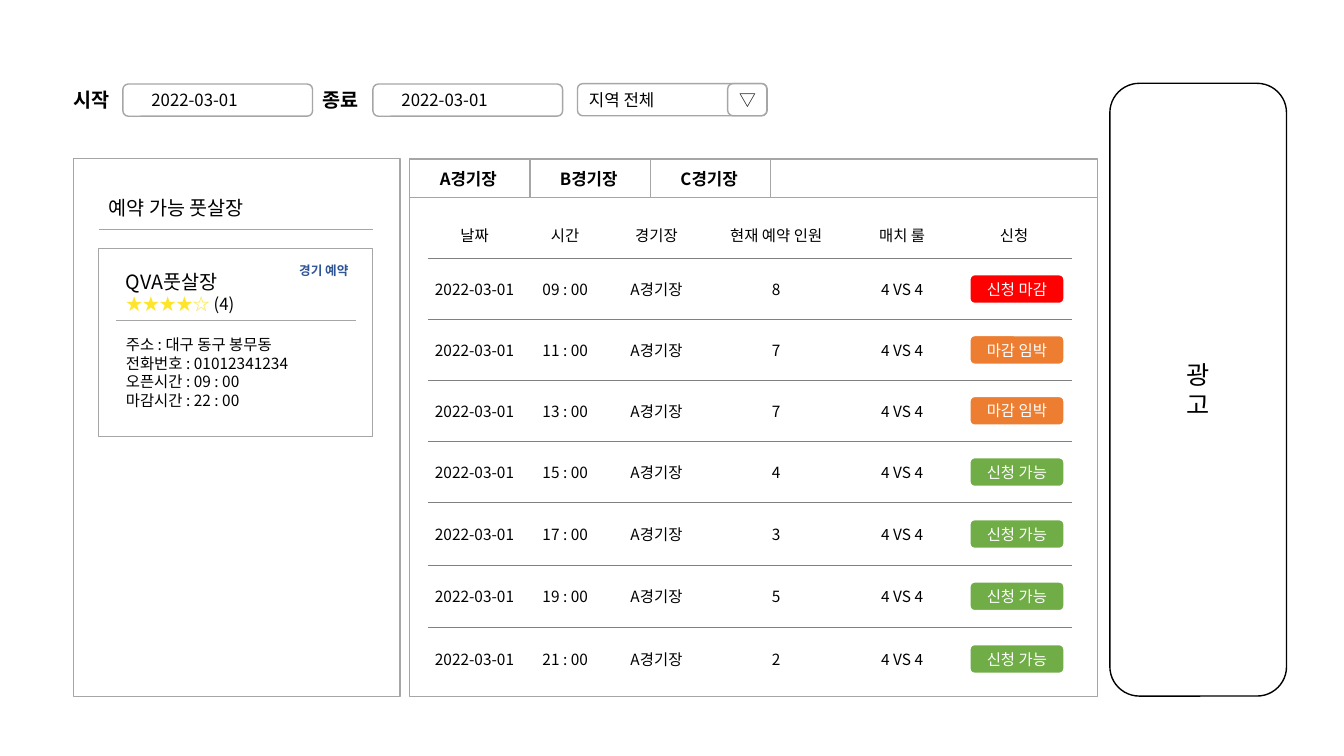
"""Build the futsal court reservation screen as one slide."""
from dataclasses import dataclass
from typing import NamedTuple

from lxml.etree import SubElement
from pptx import Presentation
from pptx.dml.color import RGBColor
from pptx.enum.shapes import MSO_CONNECTOR, MSO_SHAPE
from pptx.enum.text import MSO_ANCHOR, PP_ALIGN
from pptx.oxml.ns import qn
from pptx.shapes.autoshape import Shape
from pptx.shapes.shapetree import SlideShapes
from pptx.table import _Cell
from pptx.text.text import TextFrame
from pptx.util import Pt

FONT = "Noto Sans CJK KR"
NO_STYLE = "{2D5ABB26-0587-4C30-8999-92F81FD0307C}"
BLACK = RGBColor(0x00, 0x00, 0x00)
WHITE = RGBColor(0xFF, 0xFF, 0xFF)
SILVER = RGBColor(0xA6, 0xA6, 0xA6)
GRAY = RGBColor(0x80, 0x80, 0x80)
RED = RGBColor(0xFF, 0x00, 0x00)
ORANGE = RGBColor(0xED, 0x7D, 0x31)
GREEN = RGBColor(0x70, 0xAD, 0x47)
BLUE = RGBColor(0x2F, 0x55, 0x97)
STAR = RGBColor(0xFE, 0xE5, 0x2A)


class Box(NamedTuple):
    left: float
    top: float
    width: float
    height: float


@dataclass(frozen=True)
class Style:
    size: float = 11
    color: RGBColor = BLACK
    bold: bool = False
    align: PP_ALIGN = PP_ALIGN.LEFT


@dataclass(frozen=True)
class Label:
    box: Box
    text: str
    style: Style


@dataclass(frozen=True)
class Frame:
    box: Box
    kind: MSO_SHAPE = MSO_SHAPE.RECTANGLE
    fill: RGBColor | None = None
    line: RGBColor = SILVER
    weight: float = 1
    text: str = ""
    style: Style = Style()
    inset: float = 7.2


class Match(NamedTuple):
    time: str
    players: str
    status: str
    height: float


CENTER = PP_ALIGN.CENTER
ROUND = MSO_SHAPE.ROUNDED_RECTANGLE
FIELD = Style(12)
TAB = Style(12, bold=True, align=CENTER)
CELL = Style(align=CENTER)
BADGE = Style(color=WHITE, align=CENTER)
STATUS_COLORS = {"신청 마감": RED, "마감 임박": ORANGE, "신청 가능": GREEN}
HEADERS = ("날짜", "시간", "경기장", "현재 예약 인원", "매치 룰", "신청")
COLUMN_WIDTHS = (67, 62.5, 68, 103, 77, 83)
HEADER_HEIGHT = 34
TABLE_LEFT, TABLE_TOP = 305.5, 150.7
MATCHES = (
    Match("09 : 00", "8", "신청 마감", 43.5),
    Match("11 : 00", "7", "마감 임박", 43.5),
    Match("13 : 00", "7", "마감 임박", 43.5),
    Match("15 : 00", "4", "신청 가능", 44),
    Match("17 : 00", "3", "신청 가능", 44.5),
    Match("19 : 00", "5", "신청 가능", 44.5),
    Match("21 : 00", "2", "신청 가능", 45),
)
FRAMES = (
    Frame(Box(87.8, 60, 135.5, 23), ROUND, WHITE, text="2022-03-01", style=FIELD, inset=19.3),
    Frame(Box(266.4, 60, 135.5, 23), ROUND, WHITE, text="2022-03-01", style=FIELD, inset=19.3),
    Frame(Box(412.5, 59.7, 135.5, 23), ROUND, WHITE, text="지역 전체", style=FIELD),
    Frame(Box(519.8, 59.7, 28, 23), ROUND, WHITE, text="▽", style=Style(12, align=CENTER)),
    Frame(Box(52.6, 113.3, 233.3, 384)),
    Frame(Box(70.5, 177.2, 195.8, 134.6), weight=0.75),
    Frame(Box(292.5, 113.3, 491.5, 384)),
    Frame(Box(292.5, 113.8, 491.5, 27.2)),
    *(Frame(Box(292.5 + 86 * i, 113.8, 86, 27.2), text=f"{court}경기장", style=TAB, inset=5.2)
      for i, court in enumerate("ABC")),
    Frame(Box(792.8, 59.5, 126.2, 437.7), ROUND, WHITE, BLACK,
          text="광\n고", style=Style(18, align=CENTER)),
)
LABELS = (
    Label(Box(45.4, 59, 43.2, 24.5), "시작", Style(14, bold=True)),
    Label(Box(223.2, 59, 43.2, 24.5), "종료", Style(14, bold=True)),
    Label(Box(70.5, 133.2, 162, 30.2), "예약 가능 풋살장", Style(14)),
    Label(Box(82.8, 186.2, 162, 30.2), "QVA풋살장", Style(14)),
    Label(Box(82.8, 231.1, 166.3, 69.8),
          "주소 : 대구 동구 봉무동\n전화번호 : 01012341234\n오픈시간 : 09 : 00\n마감시간 : 22 : 00",
          Style()),
    Label(Box(206.6, 184.3, 54, 18), "경기 예약", Style(9, BLUE, True)),
)
RULES = (Box(70.5, 163.6, 195.8, 0), Box(82.8, 229, 171.4, 0))


def write(tf: TextFrame, text: str, style: Style) -> None:
    tf.text = text
    for p in tf.paragraphs:
        p.alignment = style.align
        p.font.name = FONT
        p.font.size = Pt(style.size)
        p.font.bold = style.bold
        p.font.color.rgb = style.color
        SubElement(p._p.pPr.find(qn("a:defRPr")), qn("a:ea"), typeface=FONT)


def add_frame(shapes: SlideShapes, frame: Frame) -> Shape:
    sp = shapes.add_shape(frame.kind, *map(Pt, frame.box))
    sp.shadow.inherit = False
    if frame.fill is None:
        sp.fill.background()
    else:
        sp.fill.solid()
        sp.fill.fore_color.rgb = frame.fill
    sp.line.color.rgb = frame.line
    sp.line.width = Pt(frame.weight)
    if frame.text:
        tf = sp.text_frame
        tf.vertical_anchor = MSO_ANCHOR.MIDDLE
        tf.margin_left = Pt(frame.inset)
        write(tf, frame.text, frame.style)
    return sp


def add_label(shapes: SlideShapes, label: Label) -> TextFrame:
    tf = shapes.add_textbox(*map(Pt, label.box)).text_frame
    tf.word_wrap = True
    tf.vertical_anchor = MSO_ANCHOR.MIDDLE
    write(tf, label.text, label.style)
    return tf


def add_rating(shapes: SlideShapes) -> None:
    tf = add_label(shapes, Label(Box(82.8, 208, 162, 18.7), "★★★★☆ ", Style(12)))
    p = tf.paragraphs[0]
    p.runs[0].font.color.rgb = STAR
    p.add_run().text = "(4)"


def add_rule(shapes: SlideShapes, box: Box) -> None:
    start, end = (box.left, box.top), (box.left + box.width, box.top + box.height)
    line = shapes.add_connector(MSO_CONNECTOR.STRAIGHT, *map(Pt, start + end))
    line.line.color.rgb = SILVER
    line.line.width = Pt(0.5)
    SubElement(line._element.spPr, qn("a:effectLst"))


def underline(cell: _Cell) -> None:
    border = SubElement(cell._tc.get_or_add_tcPr(), qn("a:lnB"), w=str(Pt(0.5)))
    SubElement(SubElement(border, qn("a:solidFill")), qn("a:srgbClr"), val=str(GRAY))


def add_schedule(shapes: SlideShapes) -> None:
    rows = [HEADERS] + [("2022-03-01", m.time, "A경기장", m.players, "4 VS 4", "")
                        for m in MATCHES]
    heights = [HEADER_HEIGHT] + [m.height for m in MATCHES]
    box = Box(TABLE_LEFT, TABLE_TOP, sum(COLUMN_WIDTHS), sum(heights))
    table = shapes.add_table(len(rows), len(HEADERS), *map(Pt, box)).table
    table.first_row = table.horz_banding = False
    table._tbl.tblPr.find(qn("a:tableStyleId")).text = NO_STYLE
    for column, width in zip(table.columns, COLUMN_WIDTHS):
        column.width = Pt(width)
    for i, (row, height, texts) in enumerate(zip(table.rows, heights, rows)):
        row.height = Pt(height)
        for cell, text in zip(row.cells, texts):
            cell.margin_left = cell.margin_right = cell.margin_top = cell.margin_bottom = 0
            cell.vertical_anchor = MSO_ANCHOR.MIDDLE
            write(cell.text_frame, text, CELL)
            if i < len(MATCHES):
                underline(cell)
            cell.fill.background()
    top = TABLE_TOP + HEADER_HEIGHT
    for m in MATCHES:
        badge = Box(692.6, top + (m.height - 21) / 2, 67.7, 21)
        add_frame(shapes, Frame(badge, ROUND, STATUS_COLORS[m.status], WHITE, 1.5, m.status, BADGE))
        top += m.height


def main() -> None:
    prs = Presentation()
    prs.slide_width, prs.slide_height = Pt(960), Pt(540)
    s = prs.slides.add_slide(prs.slide_layouts[6])
    for frame in FRAMES:
        add_frame(s.shapes, frame)
    for label in LABELS:
        add_label(s.shapes, label)
    for rule in RULES:
        add_rule(s.shapes, rule)
    add_rating(s.shapes)
    add_schedule(s.shapes)
    prs.save("out.pptx")


if __name__ == "__main__":
    main()
